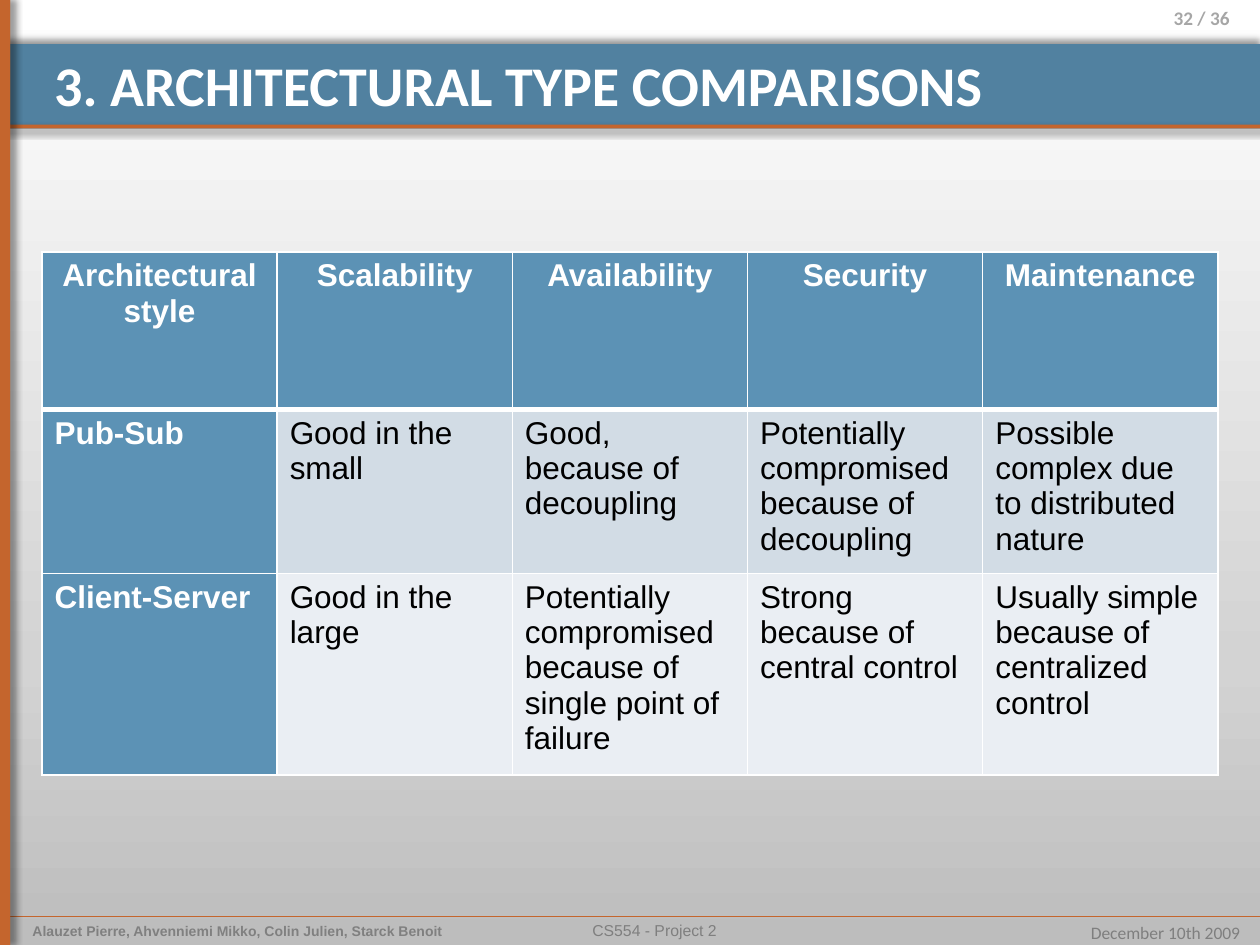
from copy import deepcopy
from dataclasses import dataclass

from lxml import etree
from pptx import Presentation
from pptx import util as u
from pptx.dml.color import RGBColor
from pptx.enum import shapes, text
from pptx.oxml.ns import qn


@dataclass(frozen=True)
class Theme:
    band: str = "5181A0"
    accent: str = "C4652D"
    head: str = "5C92B5"
    rows: tuple = ("D2DCE5", "EAEEF3")
    white: str = "FFFFFF"
    black: str = "000000"
    team: str = "808080"
    foot: str = "7F7F7F"
    page: str = "A6A6A6"
    backdrop: tuple = ((0, "BDBDBD"), (0.3, "D3D3D3"), (1, "FFFFFF"))
    body_font: str = "Arial"
    title_font: str = "Calibri"
    title: int = 32
    cell: int = 18
    page_size: int = 11
    date_size: int = 10
    course_size: int = 9
    team_size: int = 8


T = Theme()
MID, TOP = text.MSO_ANCHOR.MIDDLE, text.MSO_ANCHOR.TOP
LEFT, CENTER, RIGHT = text.PP_ALIGN.LEFT, text.PP_ALIGN.CENTER, text.PP_ALIGN.RIGHT


def part(box, x, y, w, h):
    l, t, bw, bh = box
    return (int(l + bw * x / 100), int(t + bh * y / 100),
            int(bw * w / 100), int(bh * h / 100))


def write(tf, words, size, color, font=T.body_font, bold=False, align=LEFT):
    p = tf.paragraphs[0]
    p.alignment = align
    r = p.add_run()
    r.text = words
    r.font.name, r.font.size, r.font.bold = font, u.Pt(size), bold
    r.font.color.rgb = RGBColor.from_string(color)


def label(s, box, words, anchor=MID, wrap=True, right=0.1, **fmt):
    tf = s.shapes.add_textbox(*box).text_frame
    tf.word_wrap, tf.vertical_anchor = wrap, anchor
    tf.margin_right = u.Inches(right)
    write(tf, words, **fmt)


def cast(sp, angle):
    spPr = sp._element.spPr
    effects = spPr.find(qn("a:effectLst"))
    if effects is None:
        effects = etree.SubElement(spPr, qn("a:effectLst"))
    shadow = etree.SubElement(effects, qn("a:outerShdw"), blurRad=str(u.Pt(4)),
                              dist=str(u.Pt(3)), dir=str(angle * 60000),
                              algn="ctr", rotWithShape="0")
    color = etree.SubElement(shadow, qn("a:srgbClr"), val=T.black)
    etree.SubElement(color, qn("a:alpha"), val="40000")


def bar(s, box, color, angle=None):
    sp = s.shapes.add_shape(shapes.MSO_SHAPE.RECTANGLE, *box)
    sp.shadow.inherit = False
    sp.fill.solid()
    sp.fill.fore_color.rgb = RGBColor.from_string(color)
    sp.line.fill.background()
    if angle is not None:
        cast(sp, angle)


def backdrop(s):
    fill = s.background.fill
    fill.gradient()
    fill.gradient_angle = 90
    stops = s._element.find(".//" + qn("a:gsLst"))
    stops.append(deepcopy(stops[-1]))
    for stop, (position, color) in zip(fill.gradient_stops, T.backdrop):
        stop.position = position
        stop.color.rgb = RGBColor.from_string(color)


def header(s, box, words, page):
    bar(s, part(box, 0, 34.3, 100, 65.7), T.band, 270)
    bar(s, part(box, 0, 97, 100, 3), T.accent, 45)
    label(s, part(box, 88.3, 0, 11.7, 38), page, anchor=TOP, right=0.24,
          size=T.page_size, color=T.page, font=T.title_font, bold=True, align=RIGHT)
    sp = s.shapes.title
    sp.left, sp.top, sp.width, sp.height = part(box, 3.3, 34.3, 92.8, 57)
    tf = sp.text_frame
    tf.auto_size = text.MSO_AUTO_SIZE.NONE
    tf.word_wrap, tf.vertical_anchor = True, TOP
    write(tf, words, size=T.title, color=T.white, font=T.title_font, bold=True)
    s.shapes._spTree.append(sp._element)


def footer(s, box, team, course, date):
    l, t, w, h = part(box, 0.8, 0, 99.2, 100)
    cx = s.shapes.add_connector(shapes.MSO_CONNECTOR.STRAIGHT, l, t, l + w, t)
    cx.line.color.rgb = RGBColor.from_string(T.accent)
    cx.line.width = u.Pt(0.25)
    cast(cx, 45)
    label(s, part(box, 1.6, 0, 36.7, 100), team,
          size=T.team_size, color=T.team, bold=True)
    label(s, part(box, 21.1, 0, 61.7, 100), course,
          size=T.course_size, color=T.foot, align=CENTER)
    label(s, part(box, 85.3, 0, 14.1, 117), date, wrap=False,
          size=T.date_size, color=T.foot, font=T.title_font, align=RIGHT)


def sidebar(s, box):
    for angle in (0, None):
        bar(s, box, T.accent, angle)


def outline(cell, **widths):
    tcPr = cell._tc.get_or_add_tcPr()
    for i, side in enumerate(("L", "R", "T", "B")):
        ln = etree.Element(qn("a:ln" + side), w=str(u.Pt(widths.get(side, 1))))
        fill = etree.SubElement(ln, qn("a:solidFill"))
        etree.SubElement(fill, qn("a:srgbClr"), val=T.white)
        tcPr.insert(i, ln)


def comparison(s, box, rows):
    table = s.shapes.add_table(len(rows), len(rows[0]), *box).table
    for i, row in enumerate(rows):
        for j, words in enumerate(row):
            cell = table.cell(i, j)
            strong = i == 0 or j == 0
            cell.fill.solid()
            cell.fill.fore_color.rgb = RGBColor.from_string(
                T.head if strong else T.rows[(i - 1) % 2])
            write(cell.text_frame, words, size=T.cell, bold=strong,
                  color=T.white if strong else T.black,
                  align=LEFT if i else CENTER)
            outline(cell, T=3 if i == 1 else 1, B=1 if i else 3)


def main():
    prs = Presentation()
    prs.slide_width, prs.slide_height = u.Inches(10), u.Inches(7.5)
    s = prs.slides.add_slide(prs.slide_layouts[0])
    subtitle = s.placeholders[1]._element
    subtitle.getparent().remove(subtitle)
    page = (0, 0, prs.slide_width, prs.slide_height)
    backdrop(s)
    header(s, part(page, 0, 0, 100, 13.6), "3. ARCHITECTURAL TYPE COMPARISONS", "32 / 36")
    footer(s, part(page, 0, 96.93, 100, 3.07),
           "Alauzet Pierre, Ahvenniemi Mikko, Colin Julien, Starck Benoit",
           "CS554 - Project 2", "December 10th 2009")
    sidebar(s, part(page, 0, 0, 0.8, 100))
    comparison(s, part(page, 3.33, 26.67, 93.33, 50), [
        ("Architectural style", "Scalability", "Availability", "Security", "Maintenance"),
        ("Pub-Sub", "Good in the small", "Good, because of decoupling",
         "Potentially compromised because of decoupling",
         "Possible complex due to distributed nature"),
        ("Client-Server", "Good in the large",
         "Potentially compromised because of single point of failure",
         "Strong because of central control",
         "Usually simple because of centralized control"),
    ])
    prs.save("out.pptx")


if __name__ == "__main__":
    main()
